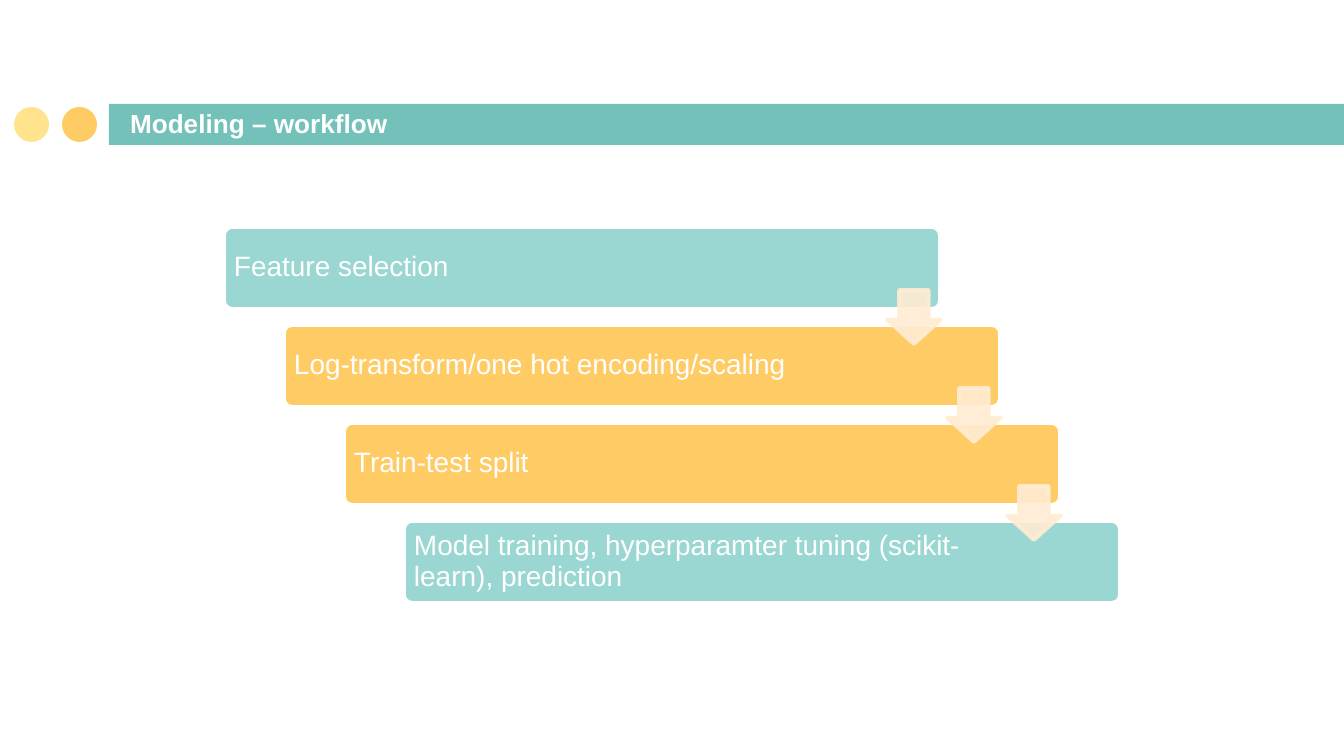
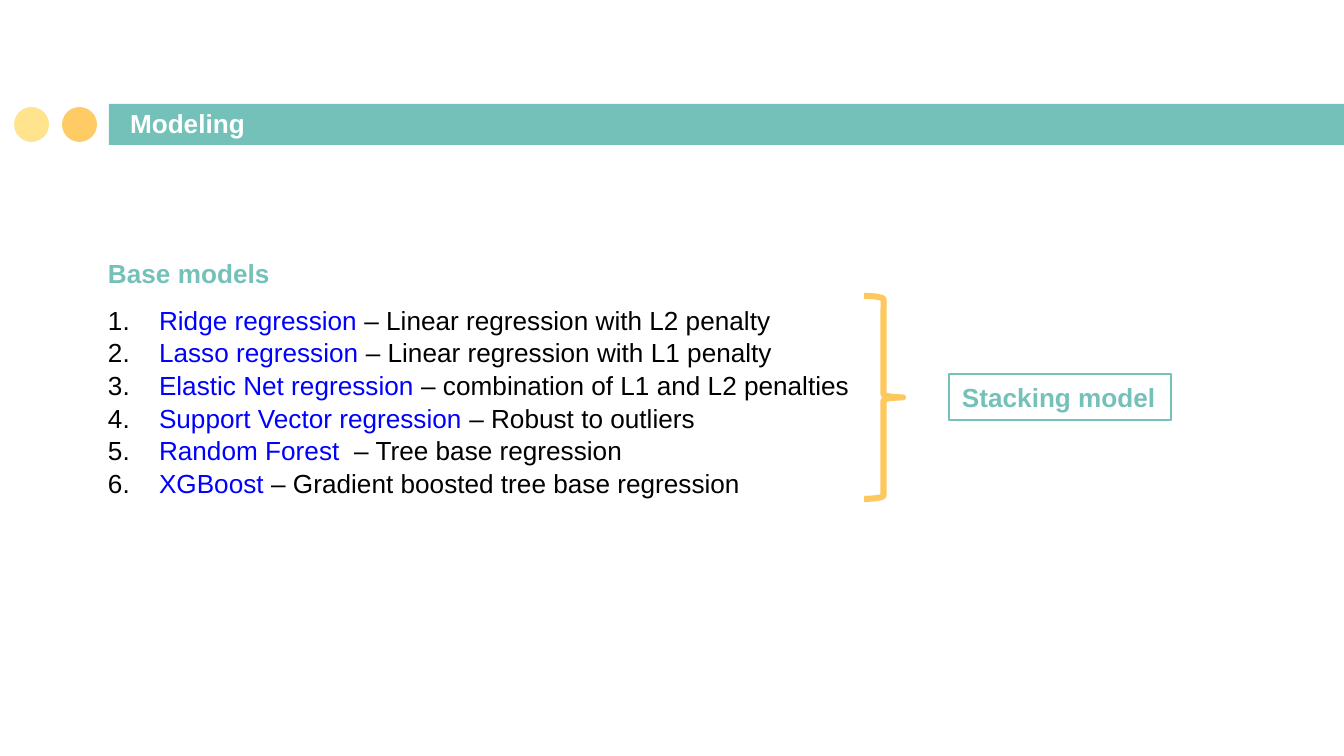
from dataclasses import dataclass

from lxml.etree import SubElement
from pptx import Presentation
from pptx.dml.color import RGBColor
from pptx.enum.shapes import MSO_SHAPE
from pptx.enum.text import MSO_ANCHOR, MSO_AUTO_SIZE, PP_ALIGN
from pptx.oxml.ns import qn
from pptx.util import Emu, Pt


@dataclass(frozen=True)
class Theme:
    font: str = "Arial"
    teal: str = "74C1B9"
    light_teal: str = "9AD7D2"
    amber: str = "FFCB64"
    brace: str = "FDC85E"
    yellow: str = "FFE48D"
    cream: str = "FFECD3"
    white: str = "FFFFFF"
    black: str = "000000"
    blue: str = "0000FF"
    body: int = 14
    step: int = 15


THEME = Theme()
PX_PER_INCH = 134.4
SLIDE_W, SLIDE_H = 1344, 756
STEPS = [
    ("Feature selection", THEME.light_teal),
    ("Log-transform/one hot encoding/scaling", THEME.amber),
    ("Train-test split", THEME.amber),
    ("Model training, hyperparamter tuning (scikit-learn), prediction", THEME.light_teal),
]
MODELS = [
    ("Ridge regression ", "– Linear regression with L2 penalty"),
    ("Lasso regression ", "– Linear regression with L1 penalty"),
    ("Elastic Net regression ", "– combination of L1 and L2 penalties"),
    ("Support Vector regression ", "– Robust to outliers"),
    ("Random Forest  ", "– Tree base regression"),
    ("XGBoost", " – Gradient boosted tree base regression"),
]


def px(n):
    return Emu(round(n * 914400 / PX_PER_INCH))


def rgb(color):
    return RGBColor.from_string(color)


def apply(target, formats):
    for name, value in formats.items():
        setattr(target, name, value)


def place(sp, box):
    apply(sp, dict(zip(("left", "top", "width", "height"), map(px, box))))


def add_shape(s, kind, box, fill=None, line=None, width=1, adjustments=()):
    sp = s.shapes.add_shape(kind, *map(px, box))
    sp.shadow.inherit = False
    for part, color in ((sp.fill, fill), (sp.line.fill, line)):
        if color:
            part.solid()
            part.fore_color.rgb = rgb(color)
        else:
            part.background()
    if line:
        sp.line.width = Pt(width)
    for i, value in enumerate(adjustments):
        sp.adjustments[i] = value
    return sp


def set_opacity(sp, percent):
    for color in sp._element.spPr.iter(qn("a:srgbClr")):
        SubElement(color, qn("a:alpha"), val=str(percent * 1000))


def set_frame(tf, x=13, y=7, anchor=MSO_ANCHOR.TOP, wrap=True):
    apply(tf, {
        "margin_left": px(x), "margin_right": px(x),
        "margin_top": px(y), "margin_bottom": px(y),
        "vertical_anchor": anchor, "word_wrap": wrap,
        "auto_size": MSO_AUTO_SIZE.NONE,
    })


def add_run(p, text, color, size=THEME.body, bold=False):
    p.alignment = PP_ALIGN.LEFT
    r = p.add_run()
    r.text = text
    apply(r.font, {"name": THEME.font, "size": Pt(size), "bold": bold})
    r.font.color.rgb = rgb(color)


def number_paragraph(p, indent):
    pPr = p._p.get_or_add_pPr()
    pPr.set("marL", str(px(indent)))
    pPr.set("indent", str(-px(indent)))
    clr = SubElement(pPr, qn("a:buClr"))
    SubElement(clr, qn("a:srgbClr"), val=THEME.black)
    SubElement(pPr, qn("a:buFont"), typeface=THEME.font)
    SubElement(pPr, qn("a:buAutoNum"), type="arabicPeriod")


def add_title_band(s, layout, box):
    x, y, w, h = box
    parts = [
        add_shape(s, MSO_SHAPE.RECTANGLE, (x + 109, y, w - 109, h), THEME.teal),
        add_shape(s, MSO_SHAPE.OVAL, (x + 62, y + 3, 35, 35), THEME.amber),
        add_shape(s, MSO_SHAPE.OVAL, (x + 14, y + 3, 35, 35), THEME.yellow),
    ]
    for i, sp in enumerate(parts):
        sp._element.nvSpPr.cNvPr.set("id", str(100 + i))
        layout.shapes._spTree.insert(2 + i, sp._element)


def add_title_slide(prs, layout, title):
    s = prs.slides.add_slide(layout)
    place(s.shapes.title, (117, 106, 737, 46))
    tf = s.shapes.title.text_frame
    set_frame(tf, 13, 13, MSO_ANCHOR.BOTTOM)
    add_run(tf.paragraphs[0], title, THEME.white, bold=True)
    return s


def add_workflow(s, box):
    x, y, w, h = box
    dx, dy, bar_h = 60, 98, 82
    bar_w = w - dx * (len(STEPS) - 1)
    for i, (text, color) in enumerate(STEPS):
        left, top = x + i * dx, y + i * dy
        add_shape(s, MSO_SHAPE.ROUNDED_RECTANGLE, (left, top, bar_w, bar_h),
                  color, THEME.white, 2, (0.1,))
        label = s.shapes.add_textbox(*map(px, (left + 2, top + 2, 600, bar_h - 4)))
        set_frame(label.text_frame, 8, 8, MSO_ANCHOR.MIDDLE)
        p = label.text_frame.paragraphs[0]
        p.line_spacing = 0.9
        add_run(p, text, THEME.white, THEME.step)
    for i in range(len(STEPS) - 1):
        arrow = add_shape(s, MSO_SHAPE.DOWN_ARROW,
                          (x + bar_w - 53 + i * dx, y + 63 + i * dy, 54, 54),
                          THEME.cream, THEME.cream, 2, (0.55, 0.45))
        arrow.adjustments[0], arrow.adjustments[1] = 0.55, 0.45
        set_opacity(arrow, 90)


def add_base_models(s, box):
    x, y, w, h = box
    heading = s.shapes.add_textbox(*map(px, (x, y, 190, 46)))
    set_frame(heading.text_frame, wrap=False)
    add_run(heading.text_frame.paragraphs[0], "Base models", THEME.teal, bold=True)

    models = s.shapes.add_textbox(*map(px, (x, y + 46, w, h - 46)))
    tf = models.text_frame
    set_frame(tf)
    for i, (name, note) in enumerate(MODELS):
        p = tf.paragraphs[0] if i == 0 else tf.add_paragraph()
        p.line_spacing = 1.04
        number_paragraph(p, 51)
        add_run(p, name, THEME.blue)
        add_run(p, note, THEME.black)


def add_stacking_model(s, box):
    x, y, w, h = box
    label_w, label_h = 222, 46
    label = add_shape(s, MSO_SHAPE.RECTANGLE,
                      (x + w - label_w, y + (h - label_h) // 2, label_w, label_h),
                      line=THEME.teal, width=1.25)
    set_frame(label.text_frame, wrap=False)
    add_run(label.text_frame.paragraphs[0], "Stacking model", THEME.teal, bold=True)
    add_shape(s, MSO_SHAPE.RIGHT_BRACE, (x, y, 39, h), line=THEME.brace, width=3.25)


def main():
    prs = Presentation()
    apply(prs, {"slide_width": px(SLIDE_W), "slide_height": px(SLIDE_H)})
    layout = prs.slide_layouts[5]

    workflow = add_title_slide(prs, layout, "Modeling – workflow")
    add_title_band(workflow, layout, (0, 104, SLIDE_W, 41))
    add_workflow(workflow, (224, 227, 896, 376))

    modeling = add_title_slide(prs, layout, "Modeling")
    add_base_models(modeling, (95, 250, 780, 249))
    add_stacking_model(modeling, (864, 296, 307, 203))

    prs.save("out.pptx")


if __name__ == "__main__":
    main()
